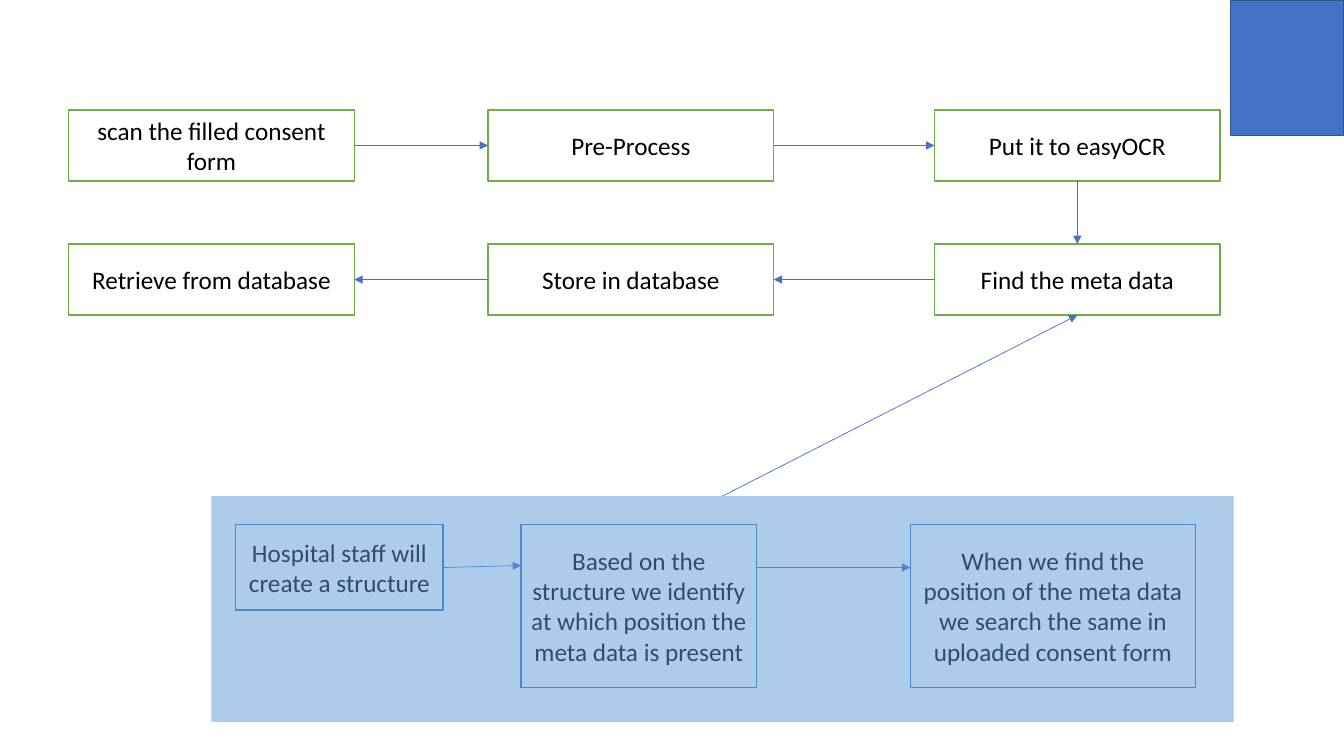
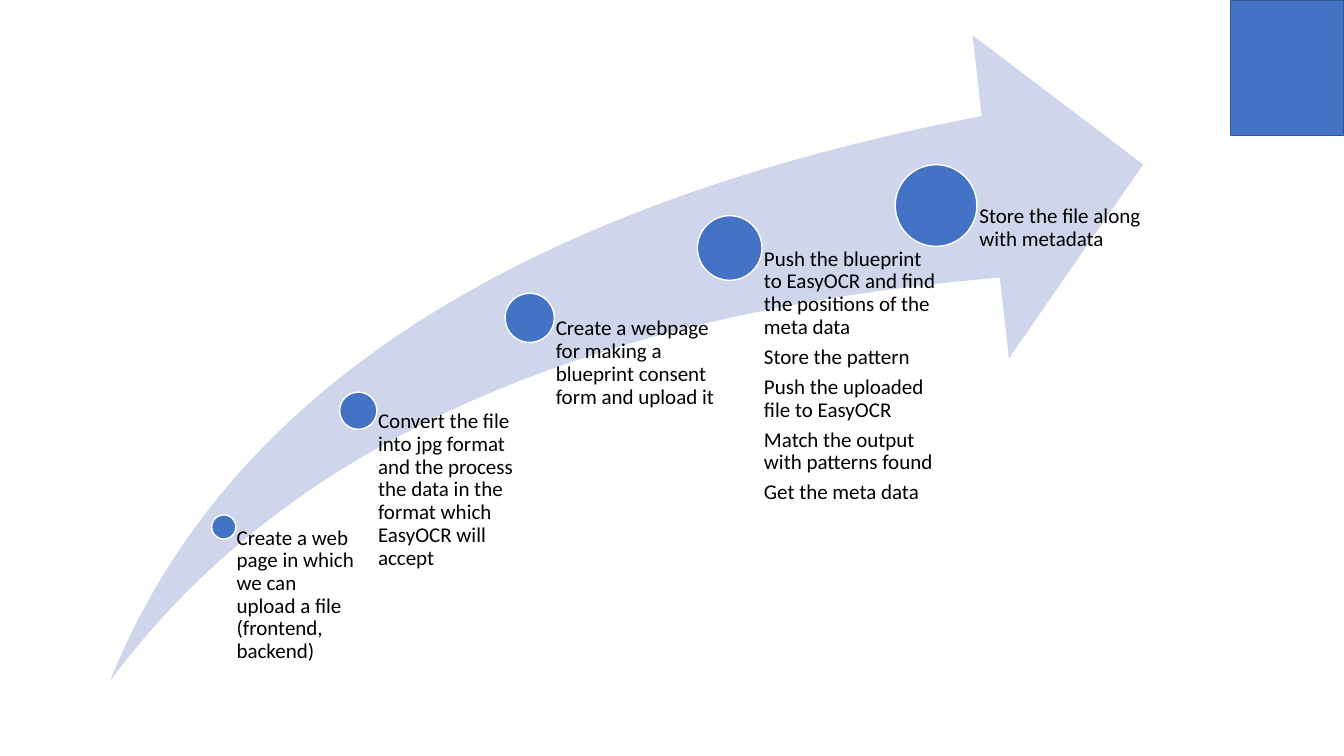
from lxml.etree import SubElement
from pptx import Presentation
from pptx.dml.color import RGBColor
from pptx.enum.shapes import MSO_CONNECTOR, MSO_SHAPE
from pptx.enum.text import MSO_ANCHOR, PP_ALIGN
from pptx.oxml.ns import qn
from pptx.util import Cm, Pt

BLACK = RGBColor(0x00, 0x00, 0x00)
WHITE = RGBColor(0xFF, 0xFF, 0xFF)
BLUE = RGBColor(0x44, 0x72, 0xC4)
DARK_BLUE = RGBColor(0x32, 0x54, 0x91)
PANEL_BLUE = RGBColor(0x5B, 0x9B, 0xD5)
PALE_BLUE = RGBColor(0xCF, 0xD5, 0xEA)
GREEN = RGBColor(0x70, 0xAD, 0x47)
FONT = "Calibri"

# Connection sites of a rectangle
TOP, LEFT, BOTTOM, RIGHT = range(4)

# Flow chart grid, in cm
COLUMNS = (1.73, 12.3, 23.55)
ROWS = (2.77, 6.15)
STEP_SIZE = (7.2, 1.79)
STRUCTURE_TOP = 13.21

STEPS = (
    ("scan the filled consent form", "Pre-Process", "Put it to easyOCR"),
    ("Retrieve from database", "Store in database", "Find the meta data"),
)

# Left, width, height in cm, then text
STRUCTURE_STEPS = (
    (5.94, 5.23, 2.16, "Hospital staff will create a structure"),
    (13.13, 5.94, 4.11, "Based on the structure we identify at which "
                        "position the meta data is present"),
    (22.94, 7.19, 4.11, "When we find the position of the meta data we "
                        "search the same in uploaded consent form"),
)

# Centre x, centre y, diameter, text width in cm, then paragraphs
MILESTONES = (
    (5.64, 13.28, 0.61, 3.4,
     ["Create a web page in which we can upload a file (frontend, backend)"]),
    (9.03, 10.35, 0.94, 4.32,
     ["Convert the file into jpg format and the process the data in the "
      "format which EasyOCR will accept"]),
    (13.35, 8.01, 1.24, 5.03,
     ["Create a webpage for making a blueprint consent form and upload it"]),
    (18.39, 6.25, 1.63, 5.21,
     ["Push the blueprint to EasyOCR and find the positions of the meta data",
      "Store the pattern",
      "Push the uploaded file to EasyOCR",
      "Match the output with patterns found",
      "Get the meta data"]),
    (23.59, 5.18, 2.06, 5.21, ["Store the file along with metadata"]),
)
MILESTONE_TEXT_BOTTOM = 17.15
INSET_PER_DIAMETER = 0.53


def add_figure(slide, kind, left, top, width, height, fill, outline=None):
    """Add a preset shape, measured in cm, without shadow."""
    figure = slide.shapes.add_shape(
        kind, Cm(left), Cm(top), Cm(width), Cm(height))
    figure.shadow.inherit = False
    figure.fill.solid()
    figure.fill.fore_color.rgb = fill
    if outline is None:
        figure.line.fill.background()
    else:
        figure.line.color.rgb = outline
        figure.line.width = Pt(1)
    return figure


def style_text(para, size):
    para.font.name = FONT
    para.font.size = Pt(size)
    para.font.color.rgb = BLACK


def add_step(slide, kind, left, top, width, height, outline, text):
    box = add_figure(slide, kind, left, top, width, height, WHITE, outline)
    box.text_frame.word_wrap = True
    box.text_frame.vertical_anchor = MSO_ANCHOR.MIDDLE
    para = box.text_frame.paragraphs[0]
    para.text = text
    para.alignment = PP_ALIGN.CENTER
    style_text(para, 18)
    return box


def add_arrow(slide, start=(0, 0), end=(0, 0)):
    """Add a thin arrow between two points, given as lengths."""
    arrow = slide.shapes.add_connector(MSO_CONNECTOR.STRAIGHT, *start, *end)
    arrow.line.color.rgb = BLUE
    arrow.line.width = Pt(0.5)
    properties = arrow.element.spPr
    SubElement(properties.find(qn("a:ln")), qn("a:tailEnd"), type="triangle")
    SubElement(properties, qn("a:effectLst"))


    return arrow


def link(slide, source, source_site, target, target_site):
    """Glue an arrow to the given sites of two shapes."""
    arrow = add_arrow(slide)
    arrow.begin_connect(source, source_site)
    arrow.end_connect(target, target_site)


def set_opacity(figure, percent):
    color = figure.element.spPr.find(qn("a:solidFill")).find(qn("a:srgbClr"))
    SubElement(color, qn("a:alpha"), val=str(percent * 1000))


def add_milestone(slide, x, y, diameter, text_width, texts):
    """Add a dot with its text hanging from the dot's centre."""
    radius = diameter / 2
    add_figure(slide, MSO_SHAPE.OVAL, x - radius, y - radius,
               diameter, diameter, BLUE, WHITE)
    box = slide.shapes.add_textbox(
        Cm(x), Cm(y), Cm(text_width), Cm(MILESTONE_TEXT_BOTTOM - y))
    frame = box.text_frame
    frame.word_wrap = True
    frame.margin_left = Cm(diameter * INSET_PER_DIAMETER)
    frame.margin_top = frame.margin_right = frame.margin_bottom = 0
    for index, text in enumerate(texts):
        para = frame.add_paragraph() if index else frame.paragraphs[0]
        para.text = text
        para.line_spacing = 0.9
        para.space_after = Pt(5.25)
        style_text(para, 15)


def add_page(deck):
    """Add a blank slide with the corner block that all slides share."""
    page = deck.slides.add_slide(deck.slide_layouts[6])
    add_figure(page, MSO_SHAPE.FLOWCHART_PROCESS, 31.01, 0, 2.85, 3.41,
               BLUE, DARK_BLUE)
    return page


def build_flow_page(deck):
    page = add_page(deck)
    (scan, prepare, read), (retrieve, store, find) = [
        [add_step(page, MSO_SHAPE.FLOWCHART_PROCESS, left, top, *STEP_SIZE,
                  GREEN, text)
         for left, text in zip(COLUMNS, texts)]
        for top, texts in zip(ROWS, STEPS)]
    link(page, scan, RIGHT, prepare, LEFT)
    link(page, prepare, RIGHT, read, LEFT)
    link(page, read, BOTTOM, find, TOP)
    link(page, find, LEFT, store, RIGHT)
    link(page, store, LEFT, retrieve, RIGHT)

    boxes = [
        add_step(page, MSO_SHAPE.RECTANGLE, left, STRUCTURE_TOP, width,
                 height, BLUE, text)
        for left, width, height, text in STRUCTURE_STEPS]
    arrow_heights = ((14.3, 14.25), (14.3, 14.3))
    for source, target, (start_y, end_y) in zip(
            boxes, boxes[1:], arrow_heights):
        add_arrow(page, (source.left + source.width, Cm(start_y)),
                  (target.left, Cm(end_y)))

    panel = add_figure(page, MSO_SHAPE.RECTANGLE, 5.33, 12.5, 25.76, 5.69,
                       PANEL_BLUE)
    set_opacity(panel, 50)
    link(page, panel, TOP, find, BOTTOM)


def build_milestone_page(deck):
    page = add_page(deck)
    swoosh = add_figure(page, MSO_SHAPE.SWOOSH_ARROW, 2.77, 0.89,
                        26.04, 16.28, PALE_BLUE)
    swoosh.adjustments[0] = 0.25
    swoosh.adjustments[1] = 0.25
    for milestone in MILESTONES:
        add_milestone(page, *milestone)


def main():
    deck = Presentation()
    deck.slide_width = Cm(33.87)
    deck.slide_height = Cm(19.05)
    build_flow_page(deck)
    build_milestone_page(deck)
    deck.save("out.pptx")


if __name__ == "__main__":
    main()
